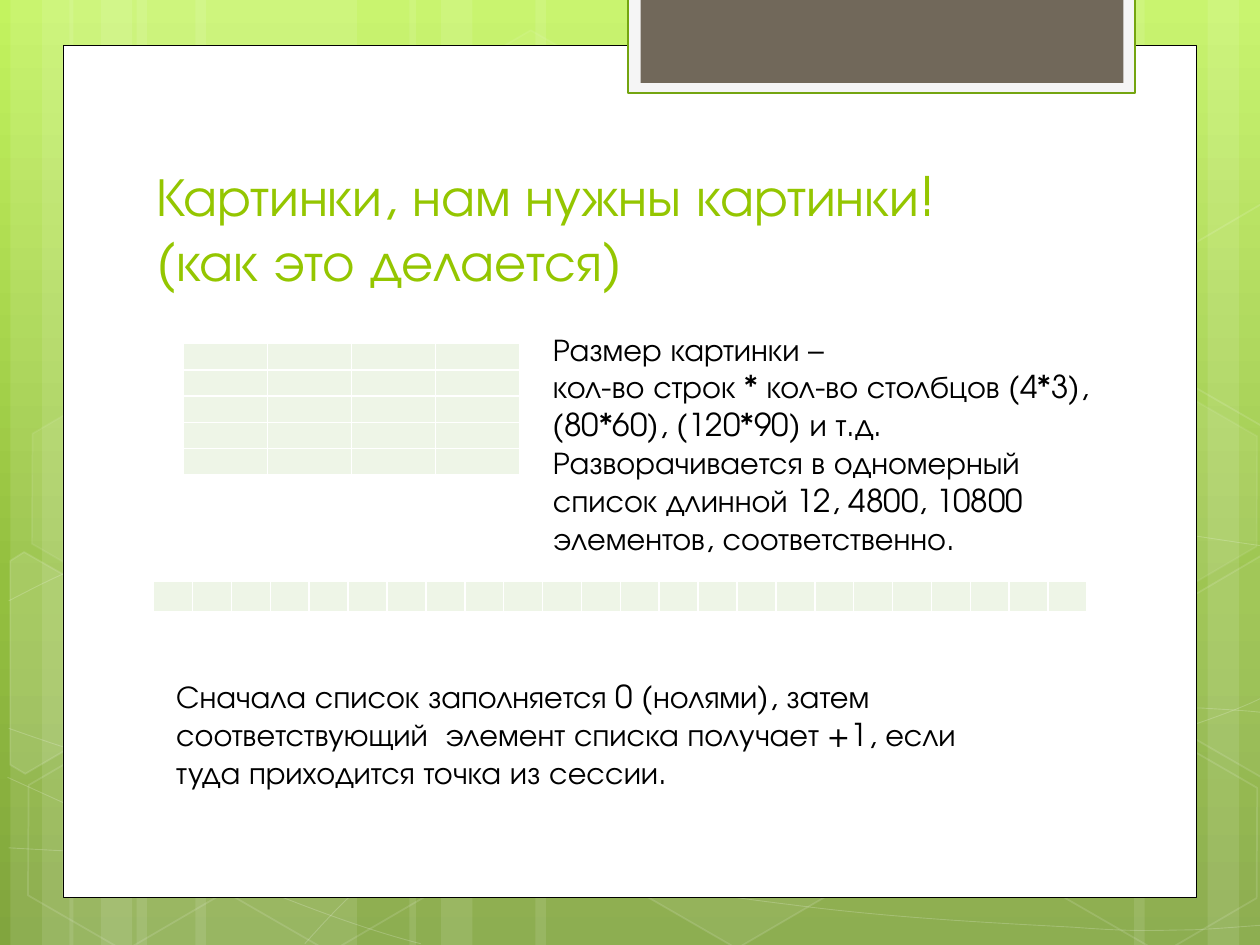
"""Build a slide on turning pixel grids into a flat list."""
from copy import deepcopy
from math import cos, radians, sin

from lxml import etree
from pptx import Presentation
from pptx.dml.color import RGBColor
from pptx.enum import shapes, text
from pptx.oxml.ns import qn
from pptx.util import Pt

FONT = "TeX Gyre Adventor"
WHITE = "FFFFFF"
CELL = "EEF5E7"
TILT = 30
GRADIENT = [(0, "C3F35F"), (0.62, "93BF3F"), (1, "81A53E")]

STRIPES = [(78, 126, 0), (6, 36, 0), (24, 60, 0), (111.6, 126, 0), (39.6, 36, 0),
           (57.6, 60, 0), (528, 126, 180), (690, 36, 180), (648, 60, 180),
           (306, 222, 0), (234, 36, 0), (252, 60, 0)]

WAVES = [
    [(5, 484.5), (44, 486.7), (82.8, 488.9), (136.8, 488.2), (190.8, 487.4),
     (257.8, 486), (329.8, 478.8), (401.8, 471.6), (504, 457.9), (570.2, 444.2),
     (635.8, 430.6), (703.4, 409), (725, 396.7)],
    [(5, 343.4), (25.9, 332.6), (46.8, 321.1), (87.1, 310.3), (128.2, 299.5),
     (186.5, 283.7), (249.8, 278.6), (313.9, 273.6), (391.7, 272.9),
     (470.9, 278.6), (550.1, 284.4), (681.8, 306.7), (725, 312.5)],
    [(4.3, 444.2), (91.4, 483.8), (177.8, 523.4), (240.5, 539.3)],
    [(5, 416.2), (27.4, 424.1), (50.4, 432), (92.2, 443.5), (133.9, 454.3),
     (196.6, 472.3), (257, 484.6), (316.8, 496.8), (392.4, 509.8), (452.2, 517),
     (511.9, 524.9), (576, 527.8), (614.2, 529.9), (651.6, 532.8),
     (661.7, 531.4), (680.4, 531.4), (699.1, 530.6), (712.1, 529.2),
     (725, 528.5)],
    [(174.2, 539.3), (187.2, 524.9), (200.2, 510.5), (217.4, 497.5),
     (234.7, 484.6), (259.2, 470.2), (279.4, 460.1), (299.5, 450),
     (311.8, 445.7), (338.4, 438.5), (364.3, 431.3), (412.6, 421.2),
     (437.8, 416.2), (463.7, 411.1), (467.3, 411.1), (489.6, 409.7),
     (511.9, 407.5), (547.2, 405.4), (571.7, 404.6), (596.9, 403.9),
     (637.9, 404.6), (637.9, 404.6), (654, 404.6), (670, 404.6),
     (686.2, 404.6), (699.1, 405.4), (711.4, 406.1), (717.8, 406.8),
     (724.3, 407.5), (722.2, 406.8), (724.3, 407.5)],
]

HEXAGONS = [(240.5, 25.9, 4, 8), (357.8, 424.1, 6, 12), (7.9, 425.5, None, 12),
            (10.1, 224.6, 7, 8), (125.3, 426.2, None, 12), (542.2, 326.2, 10, 12),
            (600.5, 427, None, 12), (600.5, 226.1, 7, 8)]

LEFT_EDGE = [(5.8, 320.4), (13.7, 315.4), (69.1, 347), (68.4, 410.4),
             (14.4, 442.1), (5.8, 437)]
RIGHT_EDGE = [(666.7, 349.2), (720.7, 317.5), (726.5, 321.1), (726.5, 441.4),
              (721.4, 444.2), (666.7, 412.6)]
HIGH_EDGE = [(x, y - 200.9) for x, y in RIGHT_EDGE]
CUT_HEXAGONS = [(LEFT_EDGE, (25.9, 385.2), 10), (RIGHT_EDGE, (709.2, 374.4), 4),
                (HIGH_EDGE, (709.2, 173.5), None)]

SIZE_LINES = ["Размер картинки –",
              "кол-во строк * кол-во столбцов (4*3), (80*60), (120*90) и т.д.",
              "Разворачивается в одномерный",
              "список длинной 12, 4800, 10800 элементов, соответственно."]
FILL_LINES = ["Сначала список заполняется 0 (нолями), затем",
              "соответствующий  элемент списка получает +1, если",
              "туда приходится точка из сессии."]


def rgb(value):
    """Return the colour of a hex string."""
    return RGBColor.from_string(value)


def apply(target, values):
    """Set every attribute of a format dict."""
    for name, value in values.items():
        setattr(target, name, value)


def fade(node, alpha):
    """Give the solid fill under a node an opacity in percent."""
    if alpha is not None:
        color = node.find(qn("a:solidFill"))[0]
        etree.SubElement(color, qn("a:alpha"), val=str(alpha * 1000))


def paint(shape, fill=None, fill_alpha=None, line=None, width=1, line_alpha=None):
    """Set the fill and outline of a shape."""
    shape.shadow.inherit = False
    properties = shape.element.spPr
    if fill:
        shape.fill.solid()
        shape.fill.fore_color.rgb = rgb(fill)
        fade(properties, fill_alpha)
    else:
        shape.fill.background()
    if line:
        shape.line.color.rgb = rgb(line)
        shape.line.width = Pt(width)
        fade(properties.find(qn("a:ln")), line_alpha)
    else:
        shape.line.fill.background()


def add_block(page, frame, kind=shapes.MSO_SHAPE.RECTANGLE, **look):
    """Add a painted preset shape."""
    shape = page.shapes.add_shape(kind, *map(Pt, frame))
    paint(shape, **look)
    return shape


def add_outline(page, points, close, **look):
    """Add a painted outline through points."""
    (x, y), *rest = [(px * 100, py * 100) for px, py in points]
    builder = page.shapes.build_freeform(x, y, scale=Pt(1) / 100)
    builder.add_line_segments(rest, close=close)
    shape = builder.convert_to_shape()
    paint(shape, **look)
    return shape


def add_wave(page, points):
    """Add an open chain of cubic curves."""
    anchors = points[::3]
    shape = add_outline(page, anchors, False, line=WHITE, width=0.5, line_alpha=20)
    left, top = (min(axis) for axis in zip(*anchors))
    segments = list(shape.element.iter(qn("a:lnTo")))
    for index, segment in enumerate(segments):
        curve = etree.Element(qn("a:cubicBezTo"))
        for x, y in points[3 * index + 1:3 * index + 4]:
            etree.SubElement(curve, qn("a:pt"), x=str(round((x - left) * 100)),
                             y=str(round((y - top) * 100)))
        segment.getparent().replace(segment, curve)


def turn_back(points, center):
    """Return points turned about a centre against the tilt."""
    c, s = cos(radians(TILT)), sin(radians(TILT))
    cx, cy = center
    return [(cx + (x - cx) * c + (y - cy) * s, cy - (x - cx) * s + (y - cy) * c)
            for x, y in points]


def set_background(page):
    """Fill the page with the vertical green gradient."""
    fill = page.background.fill
    fill.gradient()
    fill.gradient_angle = 270
    stops = page.element.find(".//" + qn("a:gsLst"))
    stops.insert(1, deepcopy(stops[0]))
    for stop, (position, color) in zip(fill.gradient_stops, GRADIENT):
        stop.color.rgb = rgb(color)
        stop.position = position


def add_backdrop(page):
    """Draw the stripes, waves, hexagons and white panel."""
    for left, width, rotation in STRIPES:
        add_block(page, (left, 0, width, 540), fill=WHITE, fill_alpha=10).rotation = rotation
    for wave in WAVES:
        add_wave(page, wave)
    for left, top, fill_alpha, line_alpha in HEXAGONS:
        hexagon = add_block(page, (left, top, 126, 109.4), shapes.MSO_SHAPE.HEXAGON,
                            fill=WHITE if fill_alpha else None, fill_alpha=fill_alpha,
                            line=WHITE, line_alpha=line_alpha)
        hexagon.adjustments[0] = 0.285
        hexagon.rotation = TILT
    for points, center, alpha in CUT_HEXAGONS:
        add_outline(page, turn_back(points, center), True, fill=WHITE if alpha else None,
                    fill_alpha=alpha, line=WHITE, line_alpha=12).rotation = TILT
    add_block(page, (36, 25.9, 648, 487), fill=WHITE, line="000000", width=0.5)
    add_block(page, (359, -1.4, 289.6, 54.7), fill="F5F5F5", line="74A510", width=1.25)
    add_block(page, (366.1, -1.4, 275.9, 48.8), fill="71685A")


def write(frame, lines, size, color):
    """Write one left-aligned paragraph per line."""
    for index, line in enumerate(lines):
        para = frame.add_paragraph() if index else frame.paragraphs[0]
        para.text = line
        para.alignment = text.PP_ALIGN.LEFT
        for span in para.runs:
            apply(span.font, {"size": Pt(size), "name": FONT})
            span.font.color.rgb = rgb(color)


def set_title(page):
    """Place the title above the backdrop."""
    title = page.shapes.title
    title.element.getparent().append(title.element)
    apply(title, {"left": Pt(82), "top": Pt(80.6), "width": Pt(553), "height": Pt(90)})
    apply(title.text_frame, {"word_wrap": True, "auto_size": text.MSO_AUTO_SIZE.NONE,
                             "vertical_anchor": text.MSO_ANCHOR.BOTTOM})
    write(title.text_frame, ["Картинки, нам нужны картинки!\v(как это делается)"],
          31, "94C600")


def add_text(page, frame, lines):
    """Add a text box of body paragraphs."""
    box = page.shapes.add_textbox(*map(Pt, frame))
    apply(box.text_frame, {"word_wrap": True,
                           "auto_size": text.MSO_AUTO_SIZE.SHAPE_TO_FIT_TEXT})
    write(box.text_frame, lines, 18, "000000")


def style_cell(cell):
    """Give an empty cell white borders and a pale fill."""
    properties = cell._tc.get_or_add_tcPr()
    for side in ("lnL", "lnR", "lnT", "lnB"):
        border = etree.SubElement(properties, qn("a:" + side), w=str(Pt(1)))
        solid = etree.SubElement(border, qn("a:solidFill"))
        etree.SubElement(solid, qn("a:srgbClr"), val=WHITE)
    cell.fill.solid()
    cell.fill.fore_color.rgb = rgb(CELL)
    apply(cell, dict.fromkeys(("margin_left", "margin_right", "margin_top",
                               "margin_bottom"), 0))
    etree.SubElement(cell.text_frame.paragraphs[0]._p, qn("a:endParaRPr"), sz="500")


def add_grid(page, rows, columns, frame):
    """Add an empty table of equal cells."""
    table = page.shapes.add_table(rows, columns, *map(Pt, frame)).table
    apply(table, {"first_row": False, "horz_banding": False})
    for cell in table.iter_cells():
        style_cell(cell)


def main():
    """Build and save the deck."""
    deck = Presentation()
    apply(deck, {"slide_width": Pt(720), "slide_height": Pt(540)})
    page = deck.slides.add_slide(deck.slide_layouts[5])
    set_background(page)
    add_backdrop(page)
    set_title(page)
    add_grid(page, 5, 4, (105, 196.4, 192, 75))
    add_grid(page, 1, 24, (87.8, 332.4, 533.5, 17.2))
    add_text(page, (308.9, 184.8, 375, 138.2), SIZE_LINES)
    add_text(page, (93.6, 383.3, 512, 72.7), FILL_LINES)
    deck.save("out.pptx")


if __name__ == "__main__":
    main()
